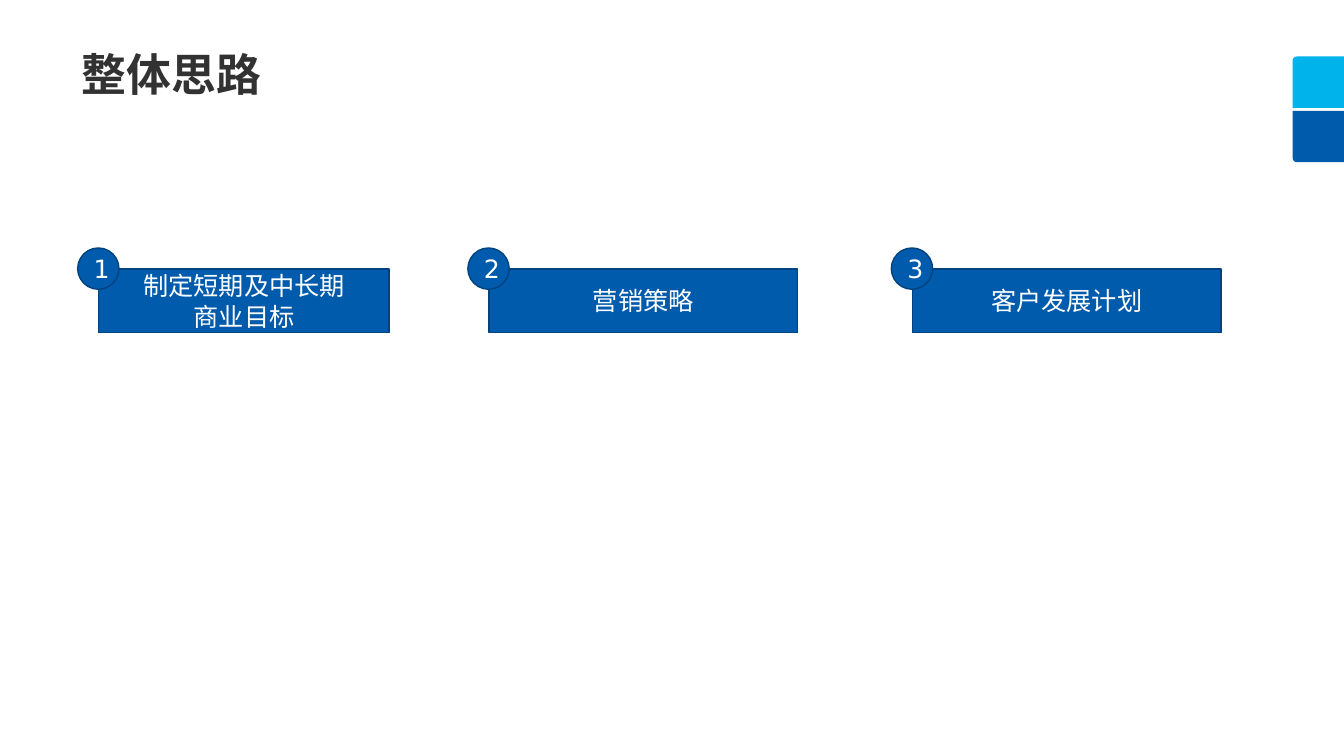
import pptx
import pptx.dml.color
import pptx.enum.shapes
import pptx.enum.text
import pptx.util

Inches = pptx.util.Inches
Shapes = pptx.enum.shapes.MSO_SHAPE
Align = pptx.enum.text.PP_ALIGN
Anchor = pptx.enum.text.MSO_ANCHOR

BLUE = pptx.dml.color.RGBColor(0x00, 0x5B, 0xAC)
DARK_BLUE = pptx.dml.color.RGBColor(0x00, 0x43, 0x7F)
CYAN = pptx.dml.color.RGBColor(0x00, 0xB3, 0xEB)
INK = pptx.dml.color.RGBColor(0x32, 0x32, 0x32)
WHITE = pptx.dml.color.RGBColor(0xFF, 0xFF, 0xFF)

STEP_TOP = 2.67
BADGE_SIZE = 0.41
BADGE_OFFSET = 0.21
TAB_SIZE = 0.51

# Left edge, width and lines of each step
STEPS = [
    (0.98, 2.88, ["制定短期及中长期", "商业目标"]),
    (4.85, 3.06, ["营销策略"]),
    (9.05, 3.06, ["客户发展计划"]),
]


def write_text(frame, lines, *, size=18, color=WHITE, bold=False,
               align=Align.CENTER, anchor=Anchor.MIDDLE, spacing=None):
    frame.word_wrap = True
    frame.vertical_anchor = anchor
    for index, line in enumerate(lines):
        para = frame.add_paragraph() if index else frame.paragraphs[0]
        para.alignment = align
        para.line_spacing = spacing
        span = para.add_run()
        span.text = line
        span.font.name = "DejaVu Sans"
        span.font.size = pptx.util.Pt(size)
        span.font.bold = bold
        span.font.color.rgb = color


class SlideBuilder:
    def __init__(self, slide):
        self.slide = slide

    def title(self, text):
        box = self.slide.shapes.title
        box.left, box.top = Inches(0.71), Inches(0.47)
        box.width, box.height = Inches(11.17), Inches(0.63)
        box.text_frame.auto_size = pptx.enum.text.MSO_AUTO_SIZE.NONE
        write_text(box.text_frame, [text], size=32, color=INK, bold=True,
                   align=Align.LEFT, anchor=Anchor.TOP, spacing=0.9)

    def shape(self, kind, left, top, width, height, fill, line=None):
        shape = self.slide.shapes.add_shape(
            kind, Inches(left), Inches(top), Inches(width), Inches(height))
        shape.shadow.inherit = False
        shape.fill.solid()
        shape.fill.fore_color.rgb = fill
        if line is None:
            shape.line.fill.background()
        else:
            shape.line.color.rgb = line
            shape.line.width = pptx.util.Pt(1)
        return shape

    def corner_tab(self, top, fill, flips):
        """Add a square at the right edge, its rounded corner turned by flips."""
        tab = self.shape(Shapes.ROUND_1_RECTANGLE, 12.82, top,
                         TAB_SIZE, TAB_SIZE, fill)
        tab.adjustments[0] = 0.082
        for flip in flips:
            tab.element.spPr.xfrm.set(flip, "1")

    def step(self, number, left, width, lines):
        """Add a labelled bar with a numbered badge on its top left corner."""
        bar = self.shape(Shapes.RECTANGLE, left, STEP_TOP, width, 0.63,
                         BLUE, DARK_BLUE)
        write_text(bar.text_frame, lines)
        badge = self.shape(Shapes.OVAL, left - BADGE_OFFSET,
                           STEP_TOP - BADGE_OFFSET, BADGE_SIZE, BADGE_SIZE,
                           BLUE, DARK_BLUE)
        write_text(badge.text_frame, [str(number)])


def main():
    deck = pptx.Presentation()
    deck.slide_width, deck.slide_height = Inches(13.33), Inches(7.5)
    title_only = deck.slide_layouts[5]
    builder = SlideBuilder(deck.slides.add_slide(title_only))
    builder.corner_tab(0.56, CYAN, ["flipH"])
    builder.corner_tab(1.1, BLUE, ["flipH", "flipV"])
    builder.title("整体思路")
    for number, (left, width, lines) in enumerate(STEPS, start=1):
        builder.step(number, left, width, lines)
    deck.save("out.pptx")


if __name__ == "__main__":
    main()
